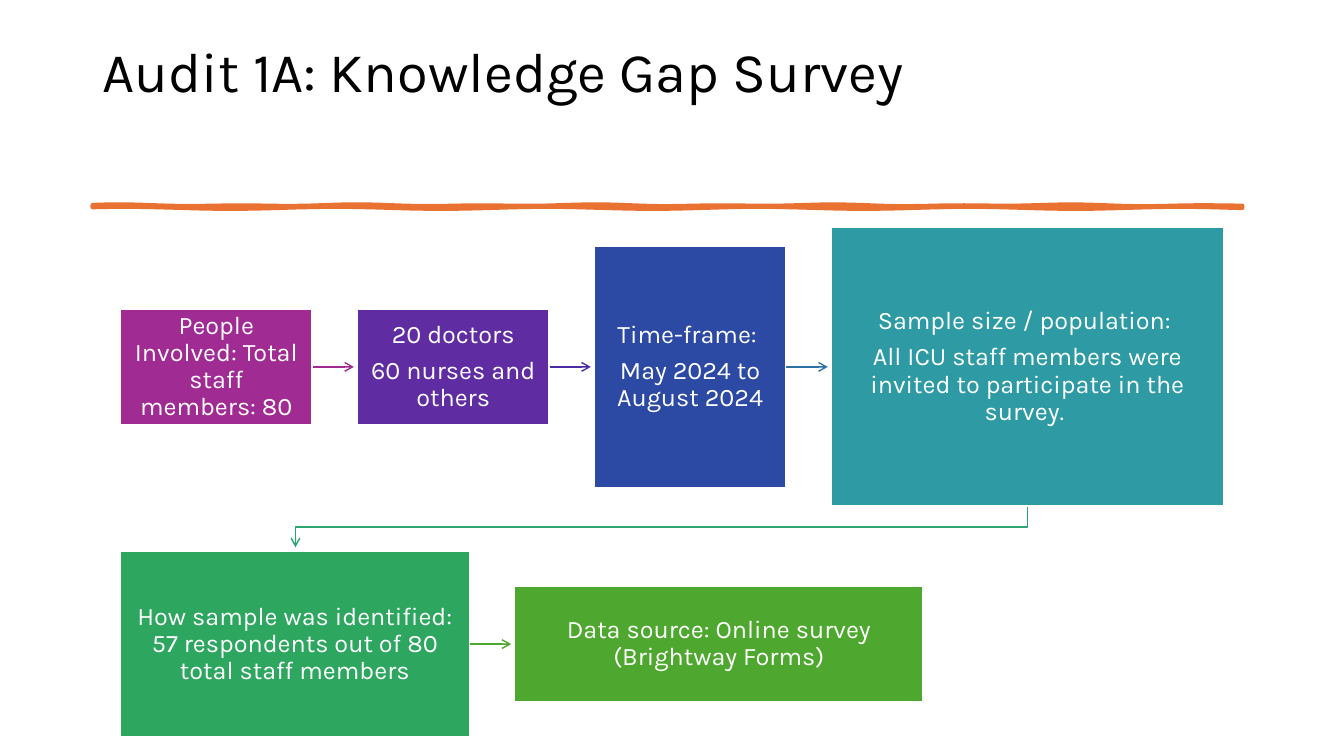
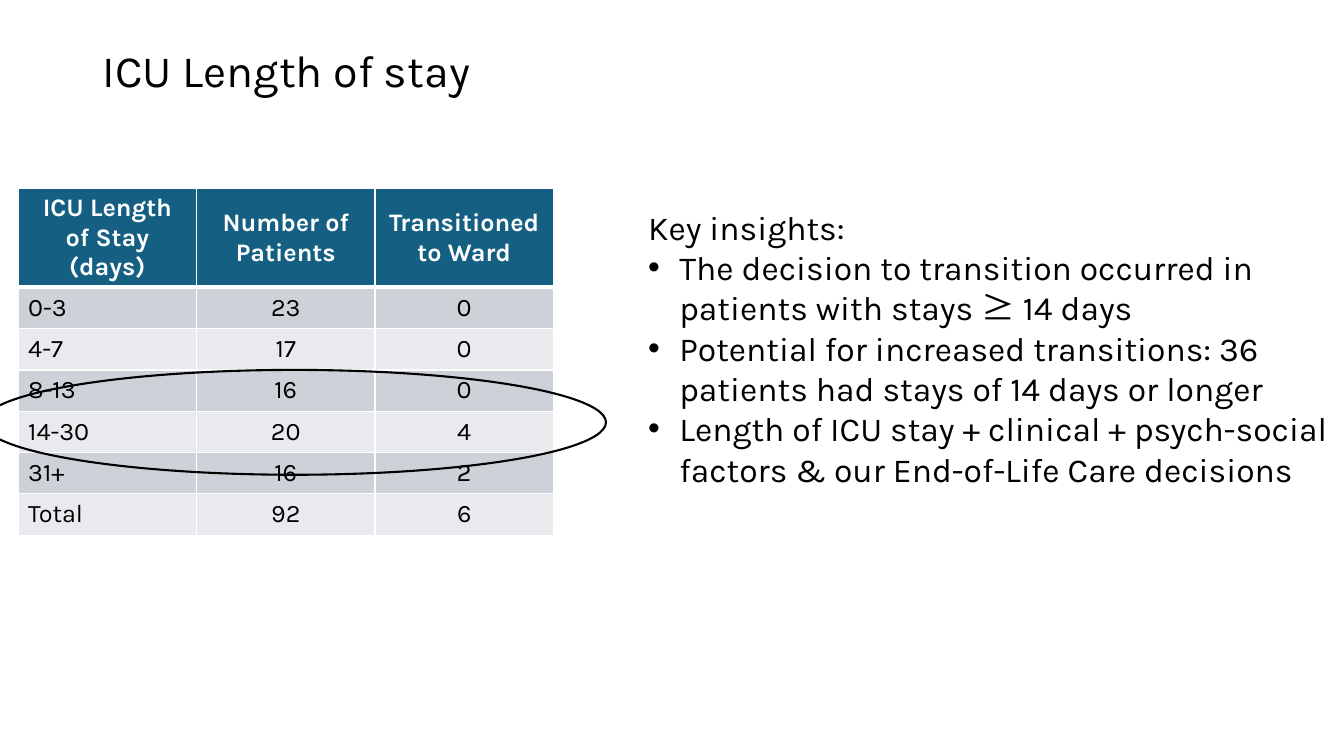
from math import sin

from lxml.etree import SubElement
from pptx import Presentation
from pptx.dml.color import RGBColor
from pptx.enum.shapes import MSO_CONNECTOR, MSO_SHAPE
from pptx.enum.text import MSO_ANCHOR, MSO_AUTO_SIZE, PP_ALIGN
from pptx.oxml.ns import qn
from pptx.util import Inches, Pt

BLACK, WHITE, ORANGE = "000000", "FFFFFF", "E97132"
HEADER, BAND_DARK, BAND_LIGHT = "156082", "CCD2D8", "E8EAED"
FONT, SYMBOL_FONT = "Karla", "Noto Sans CJK JP"


def color(code):
    return RGBColor.from_string(code)


class SlideBuilder:
    def __init__(self, deck):
        self.deck = deck
        self.page = None

    def new_slide(self, title, size, height):
        self.page = self.deck.slides.add_slide(self.deck.slide_layouts[5])
        box = self.page.shapes.title
        box.left, box.top = Inches(0.92), Inches(0.4)
        box.width, box.height = Inches(11.5), Inches(height)
        frame = box.text_frame
        frame.word_wrap = True
        frame.auto_size = MSO_AUTO_SIZE.NONE
        frame.vertical_anchor = MSO_ANCHOR.MIDDLE
        para = frame.paragraphs[0]
        para.alignment = PP_ALIGN.LEFT
        para.line_spacing = 0.9
        self.add_span(para, title, size)

    def add_span(self, para, text, size, code=BLACK, bold=False, font=FONT):
        span = para.add_run()
        span.text = text
        span.font.name = font
        span.font.size = Pt(size)
        span.font.bold = bold
        span.font.color.rgb = color(code)

    def paragraphs(self, frame, count):
        return [frame.paragraphs[0]] + [frame.add_paragraph() for _ in range(count - 1)]

    def brush_line(self, left, right, middle):
        steps = 120
        xs = [left + (right - left) * step / steps for step in range(steps + 1)]
        upper = [(x, middle - 0.01 + 0.01 * sin(4 * x) * sin(1.3 * x)) for x in xs]
        lower = [(x, middle + 0.01 + 0.01 * sin(3 * x + 1)) for x in reversed(xs)]
        outline = [(Inches(x), Inches(y)) for x, y in upper + lower]
        builder = self.page.shapes.build_freeform(*outline[0])
        builder.add_line_segments(outline[1:], close=True)
        stroke = builder.convert_to_shape()
        stroke.shadow.inherit = False
        stroke.fill.solid()
        stroke.fill.fore_color.rgb = color(ORANGE)
        stroke.line.color.rgb = color(ORANGE)
        stroke.line.width = Pt(3.25)
        SubElement(stroke.line._get_or_add_ln(), qn("a:round"))

    def step_box(self, left, middle, width, height, fill, lines):
        box = self.page.shapes.add_shape(
            MSO_SHAPE.RECTANGLE, Inches(left), Inches(middle - height / 2),
            Inches(width), Inches(height))
        box.shadow.inherit = False
        box.fill.solid()
        box.fill.fore_color.rgb = color(fill)
        box.line.color.rgb = color(WHITE)
        box.line.width = Pt(1.5)
        frame = box.text_frame
        frame.word_wrap = True
        frame.vertical_anchor = MSO_ANCHOR.MIDDLE
        frame.margin_left = frame.margin_right = Inches(0.09)
        frame.margin_top = frame.margin_bottom = Inches(0.1)
        for para, text in zip(self.paragraphs(frame, len(lines)), lines):
            para.alignment = PP_ALIGN.CENTER
            para.line_spacing = 0.9
            para.space_after = Pt(6.3)
            self.add_span(para, text, 18, WHITE)
        return box

    def arrow(self, kind, start, end, code):
        connector = self.page.shapes.add_connector(
            kind, *(Inches(value) for value in start + end))
        connector.line.color.rgb = color(code)
        connector.line.width = Pt(1)
        SubElement(connector.line._get_or_add_ln(), qn("a:tailEnd"), type="arrow")
        SubElement(connector._element.spPr, qn("a:effectLst"))
        return connector

    def down_elbow(self, start, end, code):
        center_x, center_y = (start[0] + end[0]) / 2, (start[1] + end[1]) / 2
        half_drop, half_run = (end[1] - start[1]) / 2, (start[0] - end[0]) / 2
        elbow = self.arrow(
            MSO_CONNECTOR.ELBOW, (center_x - half_drop, center_y - half_run),
            (center_x + half_drop, center_y + half_run), code)
        elbow._element.spPr.find(qn("a:xfrm")).set("rot", "5400000")

    def step_row(self, left, middle, steps, gap=0.44):
        for width, height, fill, arrow_code, lines in steps:
            box = self.step_box(left, middle, width, height, fill, lines)
            left += width + gap
            if arrow_code:
                link = self.arrow(MSO_CONNECTOR.STRAIGHT, (left - gap, middle),
                                  (left - 0.03, middle), arrow_code)
                link.begin_connect(box, 3)

    def cell_borders(self, cell, bottom):
        properties = cell._tc.get_or_add_tcPr()
        for side, width in (("L", 1), ("R", 1), ("T", 1), ("B", bottom)):
            line = SubElement(properties, qn(f"a:ln{side}"), w=str(Pt(width)))
            SubElement(SubElement(line, qn("a:solidFill")), qn("a:srgbClr"), val=WHITE)

    def table(self, left, top, column_width, header_height, row_height, rows):
        columns = len(rows[0])
        height = header_height + row_height * (len(rows) - 1)
        grid = self.page.shapes.add_table(
            len(rows), columns, Inches(left), Inches(top),
            Inches(column_width * columns), Inches(height)).table
        grid.horz_banding = False
        for column in grid.columns:
            column.width = Inches(column_width)
        for row_index, values in enumerate(rows):
            header = row_index == 0
            grid.rows[row_index].height = Inches(header_height if header else row_height)
            band = BAND_DARK if row_index % 2 else BAND_LIGHT
            for column_index, value in enumerate(values):
                cell = grid.cell(row_index, column_index)
                self.cell_borders(cell, 3 if header else 1)
                cell.fill.solid()
                cell.fill.fore_color.rgb = color(HEADER if header else band)
                cell.vertical_anchor = MSO_ANCHOR.MIDDLE
                para = cell.text_frame.paragraphs[0]
                centered = header or column_index > 0
                para.alignment = PP_ALIGN.CENTER if centered else PP_ALIGN.LEFT
                self.add_span(para, value, 18, WHITE if header else BLACK, header)

    def ring(self, left, top, width, height):
        oval = self.page.shapes.add_shape(
            MSO_SHAPE.OVAL, Inches(left), Inches(top), Inches(width), Inches(height))
        oval.shadow.inherit = False
        oval.fill.background()
        oval.line.color.rgb = color(BLACK)
        oval.line.width = Pt(1.5)

    def bullet_box(self, left, top, width, height, heading, bullets):
        box = self.page.shapes.add_textbox(
            Inches(left), Inches(top), Inches(width), Inches(height))
        frame = box.text_frame
        frame.word_wrap = True
        frame.auto_size = MSO_AUTO_SIZE.SHAPE_TO_FIT_TEXT
        first, *others = self.paragraphs(frame, len(bullets) + 1)
        self.add_span(first, heading, 24)
        for para, spans in zip(others, bullets):
            properties = para._p.get_or_add_pPr()
            properties.set("marL", str(Inches(0.31)))
            properties.set("indent", str(-Inches(0.31)))
            SubElement(properties, qn("a:buFont"), typeface="Arial")
            SubElement(properties, qn("a:buChar"), char="•")
            for text, font in spans:
                self.add_span(para, text, 24, font=font)


def survey_slide(builder):
    builder.new_slide("Audit 1A: Knowledge Gap Survey", 40, 0.68)
    builder.brush_line(0.92, 12.32, 2.05)
    builder.step_row(1.19, 3.64, [
        (1.91, 1.15, "A02B93", "A02B93", ["People Involved: Total staff members: 80"]),
        (1.91, 1.15, "5F2CA1", "4B2CA2", ["20 doctors", "60 nurses and others"]),
        (1.91, 2.41, "2C49A3", "2C71A4", ["Time-frame: ", "May 2024 to August 2024"]),
        (3.9, 2.77, "2D9AA4", None, [
            "Sample size / population: ",
            "All ICU staff members were invited to participate in the survey. "]),
    ])
    builder.down_elbow((10.19, 5.03), (2.93, 5.43), "2DA573")
    builder.step_row(1.19, 6.39, [
        (3.47, 1.84, "2DA65F", "4EA72E", [
            "How sample was identified: 57 respondents out of 80 total staff members"]),
        (4.06, 1.15, "4EA72E", None, ["Data source: Online survey (Brightway Forms)"]),
    ])


def stay_slide(builder):
    builder.new_slide("ICU Length of stay", 32, 0.64)
    builder.table(0.18, 1.87, 1.77, 0.97, 0.41, [
        ("ICU Length of Stay (days)", "Number of Patients", "Transitioned to Ward"),
        ("0-3", "23", "0"),
        ("4-7", "17", "0"),
        ("8-13", "16", "0"),
        ("14-30", "20", "4"),
        ("31+", "16", "2"),
        ("Total", "92", "6"),
    ])
    builder.ring(-0.17, 3.67, 6.18, 1.04)
    builder.bullet_box(6.33, 2, 7, 2.93, "Key insights:", [
        [("The decision to transition occurred in patients with stays ", FONT),
         ("≥", SYMBOL_FONT), (" 14 days", FONT)],
        [("Potential for increased transitions: 36 patients had stays of 14 days or longer",
          FONT)],
        [("Length of ICU stay + clinical + psych-social factors & our End-of-Life Care "
          "decisions", FONT)],
    ])


def main():
    deck = Presentation()
    deck.slide_width, deck.slide_height = Inches(13.33), Inches(7.5)
    builder = SlideBuilder(deck)
    survey_slide(builder)
    stay_slide(builder)
    deck.save("out.pptx")


if __name__ == "__main__":
    main()
